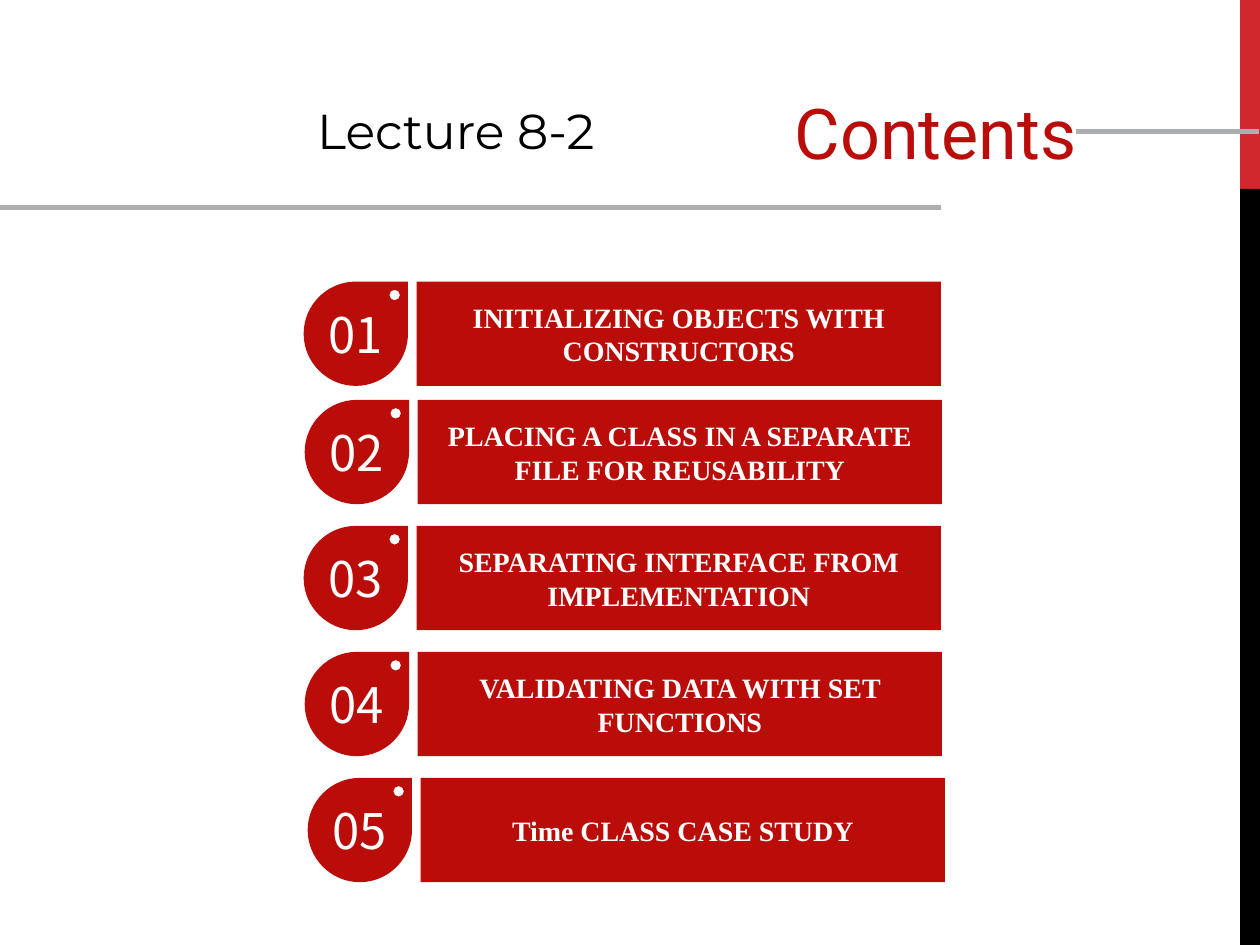
from dataclasses import dataclass
from math import cos, radians, sin

from lxml.etree import SubElement
from pptx import Presentation
from pptx.dml.color import RGBColor
from pptx.enum.shapes import MSO_CONNECTOR, MSO_SHAPE
from pptx.enum.text import MSO_ANCHOR as Anchor
from pptx.enum.text import MSO_AUTO_SIZE as AutoSize
from pptx.enum.text import PP_ALIGN as Align
from pptx.oxml.ns import qn
from pptx.util import Pt


@dataclass(frozen=True)
class Theme:
    red: str = "BA0D09"
    bright_red: str = "D1282E"
    black: str = "000000"
    white: str = "FFFFFF"
    gray: str = "ACAEB0"
    title_font: str = "Roboto"
    lecture_font: str = "Montserrat"
    number_font: str = "Noto Sans CJK JP"
    topic_font: str = "Times New Roman"
    title_size: int = 40
    lecture_size: int = 28
    number_size: int = 28
    topic_size: int = 16
    rule_width: int = 3


THEME = Theme()
SLIDE_WIDTH, SLIDE_HEIGHT = 720, 540
ROW_HEIGHT = 59.6
BAR_OFFSET, BAR_WIDTH = 64.6, 299.6
DOT_X, DOT_Y, DOT_RADIUS = 52, 7.7, 3
CURVE = 0.55  # handle length of a quarter circle, relative to its radius

# Left and top of each row, then its topic
TOPICS = [
    (173.5, 160.9, "INITIALIZING OBJECTS WITH CONSTRUCTORS"),
    (174.1, 228.5, "PLACING A CLASS IN A SEPARATE FILE FOR REUSABILITY"),
    (173.5, 300.5, "SEPARATING INTERFACE FROM IMPLEMENTATION"),
    (174.1, 372.5, "VALIDATING DATA WITH SET FUNCTIONS"),
    (175.8, 444.5, "Time CLASS CASE STUDY"),
]


def color(code):
    return RGBColor.from_string(code)


def paint(shape, fill):
    shape.shadow.inherit = False
    shape.fill.solid()
    shape.fill.fore_color.rgb = color(fill)
    shape.line.fill.background()


def write(frame, text, font, size, ink, align=Align.CENTER, bold=False):
    paragraph = frame.paragraphs[0]
    paragraph.alignment = align
    run = paragraph.add_run()
    run.text = text
    run.font.name = font
    run.font.size = Pt(size)
    run.font.bold = bold
    run.font.color.rgb = color(ink)


def add_block(slide, left, top, width, height, fill):
    block = slide.shapes.add_shape(
        MSO_SHAPE.RECTANGLE, Pt(left), Pt(top), Pt(width), Pt(height))
    paint(block, fill)
    return block


def add_rule(slide, start, end, y):
    rule = slide.shapes.add_connector(
        MSO_CONNECTOR.STRAIGHT, Pt(start), Pt(y), Pt(end), Pt(y))
    rule.line.color.rgb = color(THEME.gray)
    rule.line.width = Pt(THEME.rule_width)
    SubElement(rule._element.spPr, qn("a:effectLst"))


def quarters(x, y, radius, count):
    """Two handles and an end for each clockwise quarter, from the right."""
    points = []
    for angle in range(0, 90 * count, 90):
        for turn, handle in ((angle, CURVE), (angle + 90, -CURVE),
                             (angle + 90, 0)):
            across, down = cos(radians(turn)), sin(radians(turn))
            points.append((Pt(x + radius * (across - handle * down)),
                           Pt(y + radius * (down + handle * across))))
    return points


def bend(outline, first_handles):
    """Turn each run of three line points into one cubic curve."""
    lines = list(outline._element.iter(qn("a:lnTo")))
    for first in first_handles:
        curve = lines[first].makeelement(qn("a:cubicBezTo"))
        lines[first].addprevious(curve)
        for line in lines[first:first + 3]:
            curve.append(line[0])
            line.getparent().remove(line)


def add_drop(slide, left, top, number):
    """Number badge: a disc with a square top right corner and a round hole."""
    radius = ROW_HEIGHT / 2
    right, middle = Pt(left + ROW_HEIGHT), Pt(top + radius)
    hole = quarters(left + DOT_X, top + DOT_Y, DOT_RADIUS, 4)
    disc = quarters(left + radius, top + radius, radius, 3)

    builder = slide.shapes.build_freeform(*hole[-1], scale=1.0)
    builder.add_line_segments(hole, close=True)
    builder.move_to(*disc[-1])
    builder.add_line_segments([(right, Pt(top)), (right, middle), *disc],
                              close=True)
    drop = builder.convert_to_shape()
    bend(drop, (0, 3, 6, 9, 14, 17, 20))
    paint(drop, THEME.red)
    drop.text_frame.vertical_anchor = Anchor.MIDDLE
    write(drop.text_frame, number, THEME.number_font, THEME.number_size,
          THEME.white)


def add_topic(slide, left, top, number, topic):
    add_drop(slide, left, top, number)
    bar = add_block(slide, left + BAR_OFFSET, top, BAR_WIDTH, ROW_HEIGHT,
                    THEME.red)
    bar.text_frame.word_wrap = True
    bar.text_frame.vertical_anchor = Anchor.MIDDLE
    write(bar.text_frame, topic, THEME.topic_font, THEME.topic_size,
          THEME.white, bold=True)


def add_title(slide):
    frame = slide.shapes.add_textbox(
        Pt(360.7), Pt(50.9), Pt(261.4), Pt(83.5)).text_frame
    frame.word_wrap = True
    frame.margin_top = 0
    frame.vertical_anchor = Anchor.TOP
    write(frame, "Contents", THEME.title_font, THEME.title_size, THEME.red,
          Align.RIGHT)


def add_lecture(slide):
    frame = slide.shapes.add_textbox(
        Pt(174.2), Pt(54), Pt(190.8), Pt(41)).text_frame
    frame.word_wrap = False
    frame.auto_size = AutoSize.SHAPE_TO_FIT_TEXT
    write(frame, "Lecture 8-2", THEME.lecture_font, THEME.lecture_size,
          THEME.black, Align.LEFT)


def main():
    deck = Presentation()
    deck.slide_width, deck.slide_height = Pt(SLIDE_WIDTH), Pt(SLIDE_HEIGHT)
    slide = deck.slides.add_slide(deck.slide_layouts[6])

    band_left, band_split = 708.7, 108
    band_width = SLIDE_WIDTH - band_left
    add_block(slide, band_left, 0, band_width, band_split, THEME.bright_red)
    add_block(slide, band_left, band_split, band_width,
              SLIDE_HEIGHT - band_split, THEME.black)

    add_title(slide)
    add_rule(slide, 614.9, 719.4, 75.2)
    add_rule(slide, -0.7, 537.8, 118.6)
    add_lecture(slide)

    for index, (left, top, topic) in enumerate(TOPICS, start=1):
        add_topic(slide, left, top, f"{index:02}", topic)

    deck.save("out.pptx")


if __name__ == "__main__":
    main()
